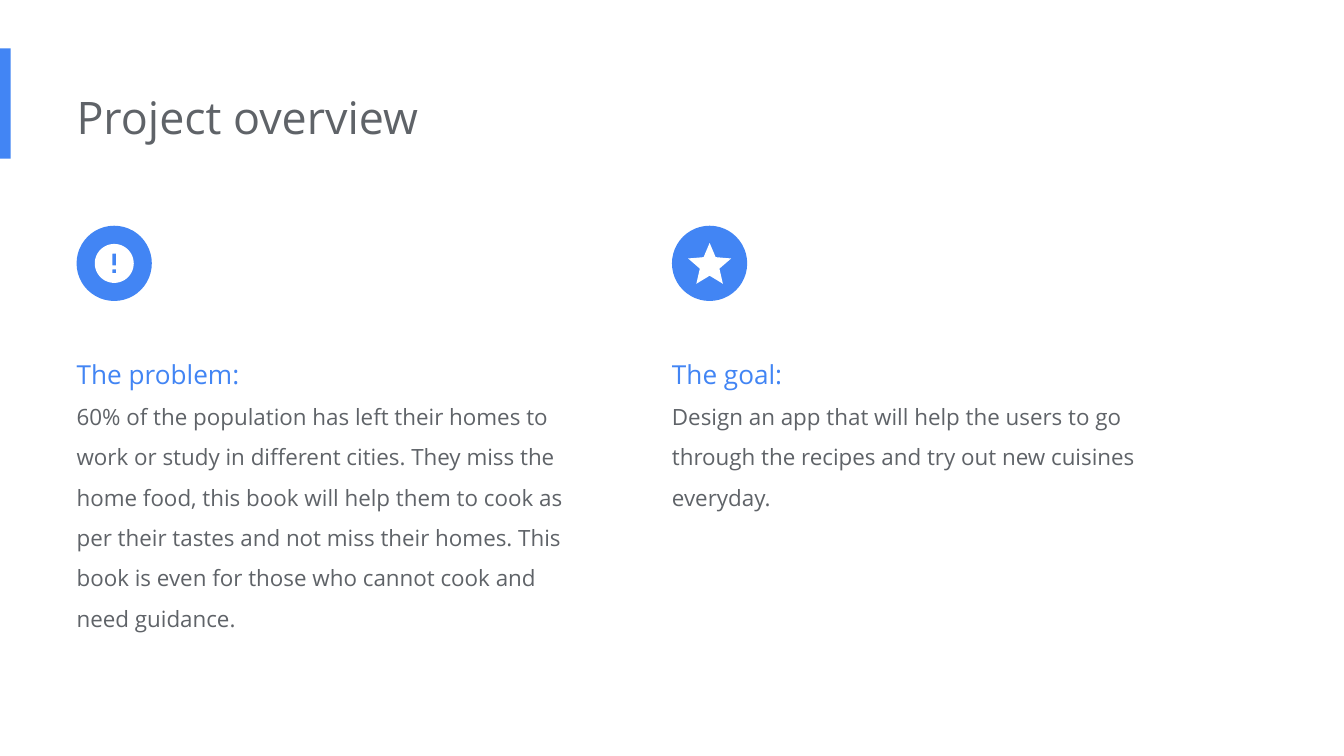
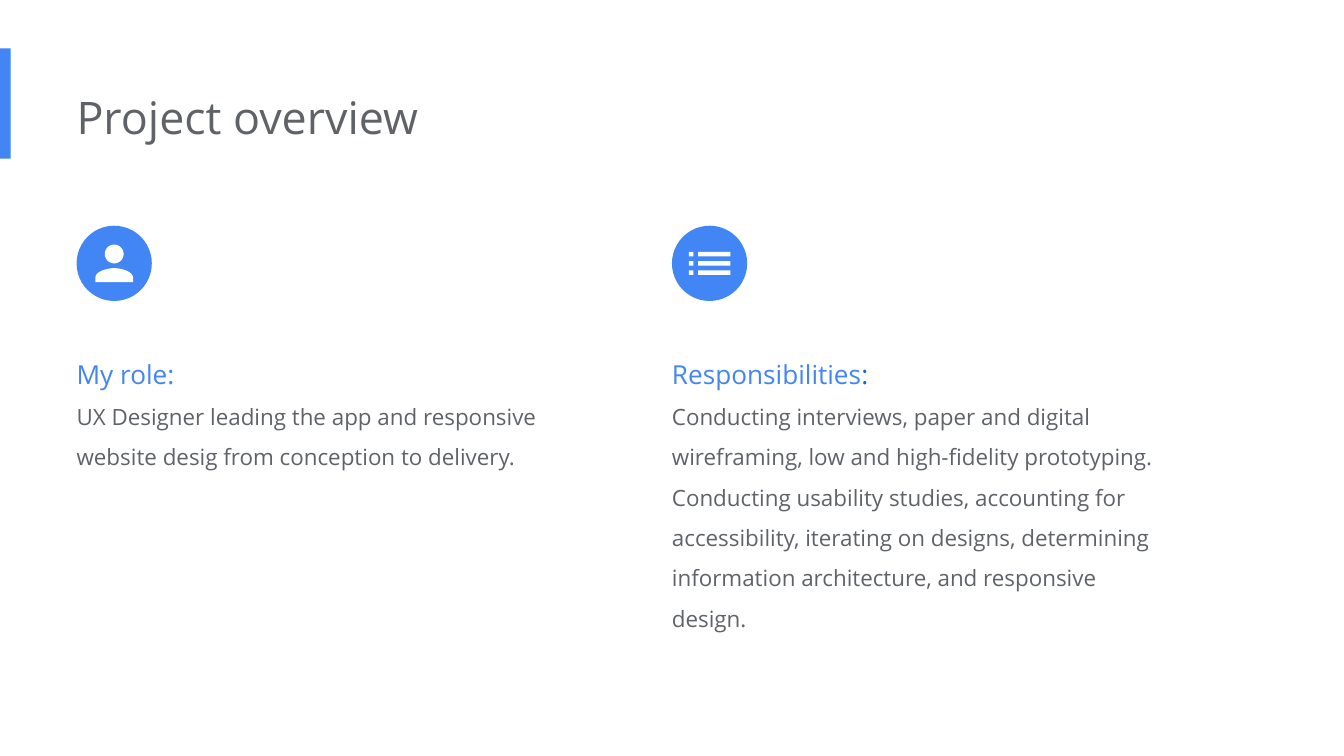
"""Build two project overview slides, each with two icon-topped columns."""
from dataclasses import dataclass
from math import cos, pi, sin

from pptx import Presentation
from pptx.dml.color import RGBColor as Rgb
from pptx.enum.shapes import MSO_SHAPE as Kind
from pptx.enum.text import MSO_AUTO_SIZE as Fit
from pptx.util import Inches, Pt


@dataclass(frozen=True)
class Theme:
    font: str = "Open Sans"
    blue: str = "4285F4"
    deep: str = "1967D2"
    gray: str = "5F6368"
    white: str = "FFFFFF"
    title: int = 24
    head: int = 14
    body: int = 12


THEME = Theme()
TITLE = "Project overview"
SLIDES = [
    [
        ("alert", [("The problem:", THEME.blue)], 2.37,
         "60% of the population has left their homes to work or study in "
         "different cities. They miss the home food, this book will help them "
         "to cook as per their tastes and not miss their homes. This book is "
         "even for those who cannot cook and need guidance."),
        ("star", [("The goal:", THEME.blue)], 1.46,
         "Design an app that will help the users to go through the recipes "
         "and try out new cuisines everyday."),
    ],
    [
        ("person", [("My role:", THEME.blue)], 1.16,
         "UX Designer leading the app and responsive website desig from "
         "conception to delivery."),
        ("list", [("Responsibilities", THEME.blue), (":", THEME.deep)], 2.37,
         "Conducting interviews, paper and digital wireframing, low and "
         "high-fidelity prototyping. Conducting usability studies, accounting "
         "for accessibility, iterating on designs, determining information "
         "architecture, and responsive design."),
    ],
]
WIDE = 10
COLS = (0.57, 5)
DISC_TOP, DISC = 1.68, 0.56
TEXT_TOP, TEXT_W = 2.45, 3.77


def box(x, y, w, h):
    return [(x, y), (x + w, y), (x + w, y + h), (x, y + h)]


def ring(x, y, r, n=48):
    turns = [2 * pi * i / n for i in range(n)]
    return [(x + r * cos(t), y + r * sin(t)) for t in turns]


def curve(a, b, c, d, n=12):
    steps = [i / n for i in range(n + 1)]
    return [tuple((1 - t) ** 3 * p + 3 * t * (1 - t) ** 2 * q
                  + 3 * t * t * (1 - t) * r + t ** 3 * s
                  for p, q, r, s in zip(a, b, c, d)) for t in steps]


def flip(pts):
    return [(24 - x, y) for x, y in reversed(pts)]


ARM = curve((12, 14), (9.33, 14), (4, 15.34), (4, 18)) + [(4, 20)]
HALF = [(12, 2), (9.19, 8.63), (2, 9.24), (7.46, 13.97), (5.82, 21), (12, 17.27)]
ICONS = {
    "alert": (0.29, [ring(12, 12, 10), box(11, 7, 2, 6), box(11, 15, 2, 2)]),
    "star": (0.32, [HALF + flip(HALF)[1:-1]]),
    "person": (0.28, [ring(12, 8, 4), ARM + flip(ARM)[:-1]]),
    "list": (0.31, [box(x, y, w, 2) for y in (7, 11, 15)
                    for x, w in ((3, 2), (7, 14))]),
}


def paint(shape, color):
    shape.shadow.inherit = False
    shape.fill.solid()
    shape.fill.fore_color.rgb = Rgb.from_string(color)
    shape.line.fill.background()


def add_icon(slide, name, left):
    width, loops = ICONS[name]
    xs, ys = zip(*(pt for loop in loops for pt in loop))
    unit = width / (max(xs) - min(xs))
    mid_x, mid_y = (min(xs) + max(xs)) / 2, (min(ys) + max(ys)) / 2

    def place(pt):
        return (Inches(left + DISC / 2 + (pt[0] - mid_x) * unit),
                Inches(DISC_TOP + DISC / 2 + (pt[1] - mid_y) * unit))

    pen = slide.shapes.build_freeform(*place(loops[0][0]))
    for i, loop in enumerate(loops):
        if i:
            pen.move_to(*place(loop[0]))
        pen.add_line_segments([place(pt) for pt in loop[1:]], close=True)
    paint(pen.convert_to_shape(), THEME.white)


def add_text(slide, spot, paras, space=None):
    frame = slide.shapes.add_textbox(*map(Inches, spot)).text_frame
    pad = Inches(0.1)
    look = {"word_wrap": True, "auto_size": Fit.SHAPE_TO_FIT_TEXT,
            "margin_left": 0, "margin_top": pad,
            "margin_right": pad, "margin_bottom": pad}
    for key, val in look.items():
        setattr(frame, key, val)
    for i, (size, runs) in enumerate(paras):
        para = frame.add_paragraph() if i else frame.paragraphs[0]
        para.line_spacing = space
        for words, color in runs:
            run = para.add_run()
            run.text = words
            for key, val in {"name": THEME.font, "size": Pt(size)}.items():
                setattr(run.font, key, val)
            run.font.color.rgb = Rgb.from_string(color)


def add_shape(slide, kind, *spot):
    paint(slide.shapes.add_shape(kind, *map(Inches, spot)), THEME.blue)


def main():
    deck = Presentation()
    deck.slide_width, deck.slide_height = Inches(WIDE), Inches(WIDE * 9 / 16)
    for parts in SLIDES:
        slide = deck.slides.add_slide(deck.slide_layouts[6])
        add_shape(slide, Kind.RECTANGLE, 0, 0.36, 0.08, 0.82)
        add_text(slide, (COLS[0], 0.57, 6.73, 0.61),
                 [(THEME.title, [(TITLE, THEME.gray)])])
        for left, (icon, head, high, body) in zip(COLS, parts):
            add_shape(slide, Kind.OVAL, left, DISC_TOP, DISC, DISC)
            add_icon(slide, icon, left)
            add_text(slide, (left, TEXT_TOP, TEXT_W, high),
                     [(THEME.head, head), (THEME.body, [(body, THEME.gray)])], 1.5)
    deck.save("out.pptx")


if __name__ == "__main__":
    main()
